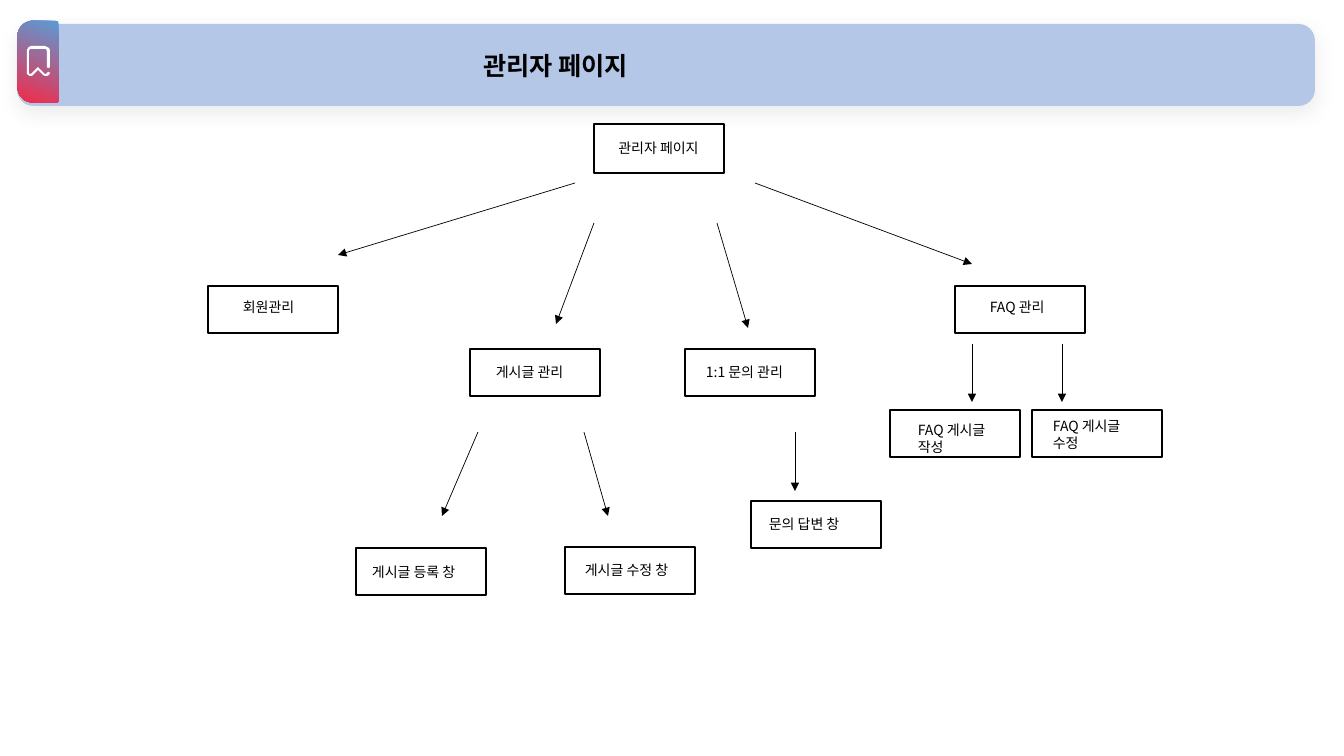
from lxml import etree
from pptx import Presentation
from pptx.dml.color import RGBColor
from pptx.enum.shapes import MSO_CONNECTOR, MSO_SHAPE
from pptx.enum.text import MSO_ANCHOR, MSO_AUTO_SIZE, PP_ALIGN
from pptx.oxml.ns import qn
from pptx.util import Pt

PX = 914400 / 100.8
FONT = "Noto Sans CJK KR"
BLACK = RGBColor(0x00, 0x00, 0x00)
WHITE = RGBColor(0xFF, 0xFF, 0xFF)
HEADER_BLUE = RGBColor(0xB4, 0xC7, 0xE7)
TAB_BLUE = RGBColor(0x5B, 0x9B, 0xD5)
TAB_RED = RGBColor(0xF3, 0x2B, 0x49)

RECTANGLE = MSO_SHAPE.RECTANGLE
ROUNDED = MSO_SHAPE.ROUNDED_RECTANGLE
TAB = MSO_SHAPE.ROUND_2_SAME_RECTANGLE
STRAIGHT = MSO_CONNECTOR.STRAIGHT
LEFT, CENTER = PP_ALIGN.LEFT, PP_ALIGN.CENTER
TOP, MIDDLE = MSO_ANCHOR.TOP, MSO_ANCHOR.MIDDLE
FIXED, GROW = MSO_AUTO_SIZE.NONE, MSO_AUTO_SIZE.SHAPE_TO_FIT_TEXT


def px(*lengths):
    return [round(length * PX) for length in lengths]


def write(shape, text, size, bold, align, frame_format):
    frame = shape.text_frame
    for name, value in frame_format.items():
        setattr(frame, name, value)
    paragraph = frame.paragraphs[0]
    paragraph.alignment = align
    run = paragraph.add_run()
    run.text = text
    for name, value in {"name": FONT, "size": Pt(size), "bold": bold}.items():
        setattr(run.font, name, value)
    run.font.color.rgb = BLACK
    east_asian = etree.SubElement(run.font._element, qn("a:ea"))
    east_asian.set("typeface", FONT)


presentation = Presentation()
presentation.slide_width, presentation.slide_height = px(1344, 756)
slide = presentation.slides.add_slide(presentation.slide_layouts[5])
shapes = slide.shapes

header = shapes.add_shape(ROUNDED, *px(17, 24, 1298, 82))
header.adjustments[0] = 0.2
header.fill.solid()
header.fill.fore_color.rgb = HEADER_BLUE
header.line.fill.background()
header.shadow.inherit = False
effects = header._element.spPr.find(qn("a:effectLst"))
shadow = etree.SubElement(effects, qn("a:outerShdw"), blurRad=str(Pt(15)),
                          dist=str(Pt(5)), dir="5400000", algn="t", rotWithShape="0")
shadow_color = etree.SubElement(shadow, qn("a:srgbClr"), val=str(BLACK))
etree.SubElement(shadow_color, qn("a:alpha"), val="7000")

title = shapes.title
title.left, title.top, title.width, title.height = px(483, 24, 600, 82)
write(title, "관리자 페이지", 18, True, LEFT, {
    "margin_left": 0, "margin_right": 0, "vertical_anchor": MIDDLE,
    "word_wrap": True, "auto_size": FIXED})
header._element.addnext(title._element)

tab = shapes.add_shape(TAB, *px(-3, 41, 82, 41))
tab.rotation = 270
tab.adjustments[0] = 0.38
tab.adjustments[1] = 0
tab.shadow.inherit = False
tab.line.fill.background()
tab.fill.gradient()
tab.fill.gradient_angle = 160
for stop, color in zip(tab.fill.gradient_stops, (TAB_BLUE, TAB_RED)):
    stop.color.rgb = color

bookmark_outline = [
    (30, 76), (28, 75), (27, 74), (27, 50), (28, 48), (29, 47), (31, 46),
    (45, 46), (47, 47), (49, 48), (50, 50), (50, 67), (49, 68), (48, 68),
    (47, 67), (47, 51), (46, 49), (45, 49), (31, 49), (30, 49), (29, 51),
    (29, 73), (30, 74), (31, 74), (37, 68), (38, 67), (39, 68), (45, 74),
    (46, 74), (47, 73), (48, 72), (49, 72), (50, 73), (49, 75), (47, 76),
    (45, 76), (43, 75), (38, 70), (33, 75), (32, 76)]
builder = shapes.build_freeform(*bookmark_outline[0], scale=PX)
builder.add_line_segments(bookmark_outline[1:], close=True)
bookmark = builder.convert_to_shape()
bookmark.fill.solid()
bookmark.fill.fore_color.rgb = WHITE
bookmark.line.fill.background()
bookmark.shadow.inherit = False

pages = [
    ("관리자 페이지", (594, 124, 130, 49), (600, 135, 117, 27), CENTER),
    ("회원관리", (208, 286, 130, 47), (233, 294, 81, 27), LEFT),
    ("게시글 관리", (470, 349, 130, 47), (486, 359, 98, 27), LEFT),
    ("1:1 문의 관리", (685, 349, 130, 47), (696, 359, 109, 27), LEFT),
    ("FAQ 관리", (955, 286, 130, 47), (980, 294, 81, 27), LEFT),
    ("게시글 등록 창", (356, 548, 130, 47), (362, 559, 124, 27), LEFT),
    ("게시글 수정 창", (565, 547, 130, 47), (575, 557, 124, 27), LEFT),
    ("문의 답변 창", (751, 501, 130, 47), (759, 511, 115, 27), LEFT),
    ("FAQ 게시글 작성", (890, 410, 130, 47), (908, 417, 107, 44), LEFT),
    ("FAQ 게시글 수정", (1032, 410, 130, 47), (1043, 413, 108, 44), LEFT)]
for text, box_place, label_place, align in pages:
    box = shapes.add_shape(RECTANGLE, *px(*box_place))
    box.fill.solid()
    box.fill.fore_color.rgb = WHITE
    box.line.color.rgb = BLACK
    box.line.width = Pt(1)
    box.shadow.inherit = False
    label = shapes.add_textbox(*px(*label_place))
    write(label, text, 10, False, align, {
        "word_wrap": True, "auto_size": GROW, "vertical_anchor": TOP})

arrows = [
    (575, 183, 338, 255), (594, 223, 556, 324), (717, 223, 748, 328),
    (755, 183, 972, 264), (478, 432, 442, 516), (584, 432, 608, 516),
    (795, 432, 795, 491), (972, 344, 972, 402), (1062, 344, 1062, 402)]
for ends in arrows:
    arrow = shapes.add_connector(STRAIGHT, *px(*ends))
    arrow.line.color.rgb = BLACK
    arrow.line.width = Pt(0.5)
    etree.SubElement(arrow.line._get_or_add_ln(), qn("a:tailEnd"), type="triangle")
    etree.SubElement(arrow._element.spPr, qn("a:effectLst"))

presentation.save("out.pptx")
